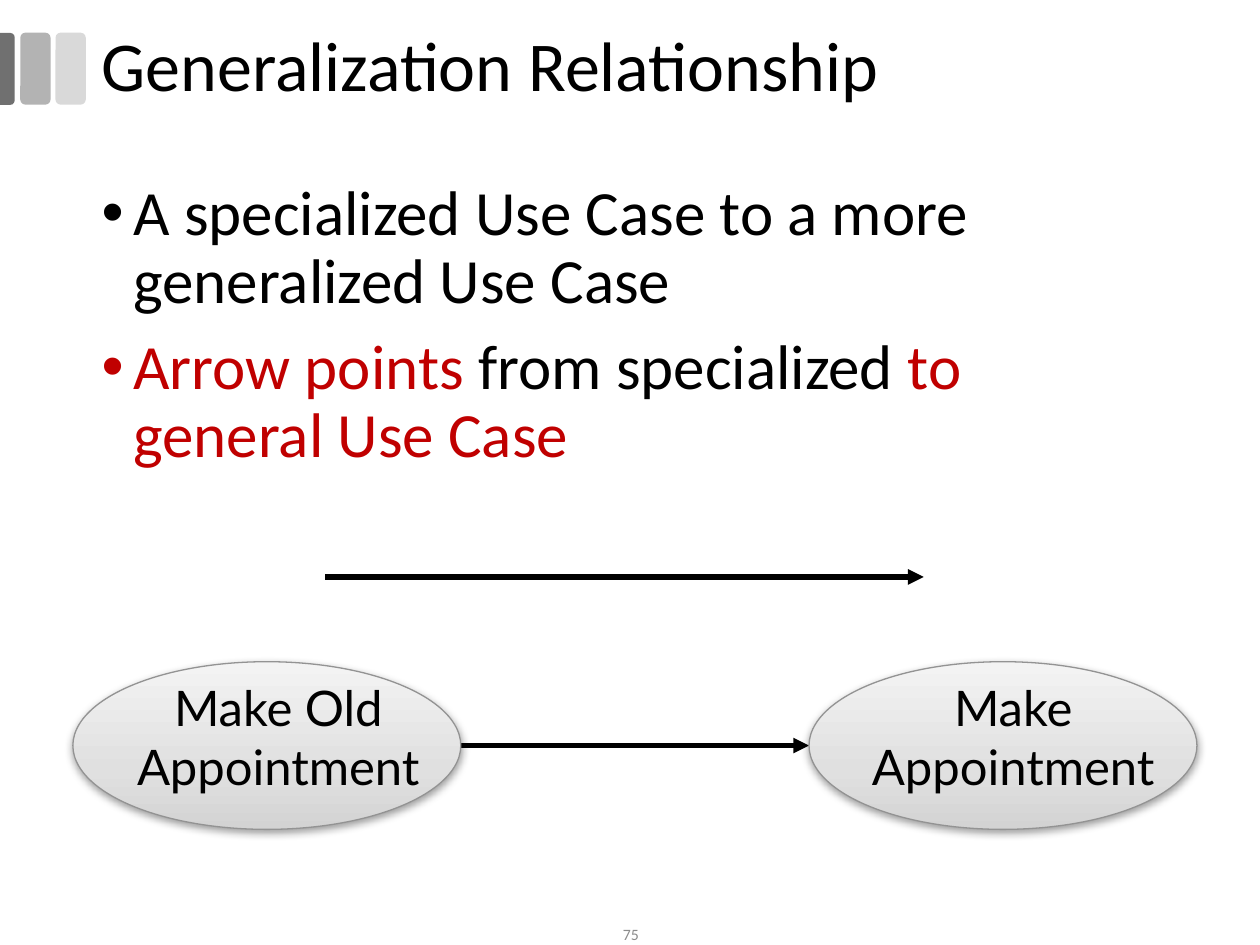
"""Build the slide on the generalization relationship between use cases."""
from dataclasses import dataclass

from lxml import etree
from pptx import Presentation
from pptx.dml.color import RGBColor
from pptx.enum import shapes, text
from pptx.oxml import parse_xml
from pptx.oxml.ns import nsdecls, qn
from pptx.util import Cm, Pt

COLORS = {
    "black": "000000", "red": "C00000", "number": "8C8C8C", "outline": "939393",
    "light": "D9D9D9", "mid": "B3B3B3", "dark": "707070",
}
GRADIENT = [(0, "D3D3D3"), (35, "E0E0E0"), (100, "F3F3F3")]
OVAL_TOP, OVAL_W, OVAL_H = 13.34, 7.82, 3.38
LEFT_OVAL, RIGHT_OVAL = 1.47, 16.31


@dataclass
class Bar:
    kind: shapes.MSO_SHAPE
    box: tuple[float, float, float, float]
    color: str
    rotation: float = 0


@dataclass
class UseCase:
    label: str
    left: float
    text_left: float
    text_width: float


@dataclass
class Arrow:
    tip: float
    end: float
    y: float


BARS = [
    Bar(shapes.MSO_SHAPE.ROUNDED_RECTANGLE, (1.12, 0.66, 0.61, 1.45), "light"),
    Bar(shapes.MSO_SHAPE.ROUNDED_RECTANGLE, (0.41, 0.66, 0.61, 1.45), "mid"),
    Bar(shapes.MSO_SHAPE.ROUND_2_SAME_RECTANGLE, (-0.58, 1.24, 1.45, 0.3), "dark", 90),
]
USE_CASES = [
    UseCase("Make\vAppointment", RIGHT_OVAL, 17.15, 6.55),
    UseCase("Make Old\vAppointment", LEFT_OVAL, 1.9, 7.42),
]
ARROWS = [
    Arrow(18.62, 6.55, 11.63),
    Arrow(RIGHT_OVAL, LEFT_OVAL + OVAL_W, OVAL_TOP + OVAL_H / 2),
]
BULLETS = [
    [("A specialized Use Case to a more generalized Use Case", "black")],
    [("Arrow points ", "red"), ("from specialized ", "black"),
     ("to general Use Case", "red")],
]


def rgb(name: str) -> RGBColor:
    return RGBColor.from_string(COLORS[name])


def style(font, size: float, color: str, face: str = "Calibri") -> None:
    font.name, font.size = face, Pt(size)
    font.color.rgb = rgb(color)


def add_bar(s, bar: Bar) -> None:
    sp = s.shapes.add_shape(bar.kind, *map(Cm, bar.box))
    sp.shadow.inherit = False
    sp.rotation = bar.rotation
    sp.fill.solid()
    sp.fill.fore_color.rgb = rgb(bar.color)
    sp.line.fill.background()
    if bar.rotation:
        sp.adjustments[0] = 0.29


def add_label(s, words: str, box: tuple, size: float, color: str, face: str):
    tf = s.shapes.add_textbox(*map(Cm, box)).text_frame
    tf.word_wrap = True
    tf.text = words
    p = tf.paragraphs[0]
    p.alignment = text.PP_ALIGN.CENTER
    for r in p.runs:
        style(r.font, size, color, face)
    return tf


def add_use_case(s, case: UseCase) -> None:
    sp = s.shapes.add_shape(shapes.MSO_SHAPE.OVAL, Cm(case.left), Cm(OVAL_TOP),
                            Cm(OVAL_W), Cm(OVAL_H))
    sp.line.color.rgb = rgb("outline")
    sp.line.width = Pt(0.75)
    stops = "".join(f'<a:gs pos="{pos * 1000}"><a:srgbClr val="{c}"/></a:gs>'
                    for pos, c in GRADIENT)
    pr = sp._element.spPr
    pr.find(qn("a:prstGeom")).addnext(parse_xml(
        f'<a:gradFill {nsdecls("a")} rotWithShape="1"><a:gsLst>{stops}</a:gsLst>'
        '<a:lin ang="16200000" scaled="0"/></a:gradFill>'))
    pr.append(parse_xml(
        f'<a:effectLst {nsdecls("a")}><a:outerShdw blurRad="{Pt(5)}" '
        f'dist="{Pt(1.6)}" dir="5400000" rotWithShape="0">'
        f'<a:srgbClr val="{COLORS["black"]}"><a:alpha val="38000"/></a:srgbClr>'
        '</a:outerShdw></a:effectLst>'))
    add_label(s, case.label, (case.text_left, 13.54, case.text_width, 2.64),
              28, "black", "Lato")


def add_arrow(s, arrow: Arrow) -> None:
    cx = s.shapes.add_connector(shapes.MSO_CONNECTOR.STRAIGHT, Cm(arrow.tip),
                                Cm(arrow.y), Cm(arrow.end), Cm(arrow.y))
    cx.line.color.rgb = rgb("black")
    cx.line.width = Pt(3)
    etree.SubElement(cx.line._get_or_add_ln(), qn("a:headEnd"), type="triangle")
    etree.SubElement(cx._element.spPr, qn("a:effectLst"))


def add_title(s, words: str) -> None:
    sp = s.shapes.title
    sp.left, sp.top, sp.width, sp.height = map(Cm, (1.8, 0.43, 23.83, 1.93))
    tf = sp.text_frame
    tf.text = words
    tf.auto_size = text.MSO_AUTO_SIZE.NONE
    tf.vertical_anchor = text.MSO_ANCHOR.MIDDLE
    p = tf.paragraphs[0]
    p.alignment = text.PP_ALIGN.LEFT
    p.line_spacing = 0.9
    style(p.runs[0].font, 40, "black")


def add_bullets(s) -> None:
    tf = s.shapes.add_textbox(*map(Cm, (1.8, 3.53, 21.69, 13.31))).text_frame
    tf.word_wrap = True
    for i, parts in enumerate(BULLETS):
        p = tf.add_paragraph() if i else tf.paragraphs[0]
        pr = p._p.get_or_add_pPr()
        pr.set("marL", str(Cm(0.64)))
        pr.set("indent", str(Cm(-0.64)))
        etree.SubElement(pr, qn("a:buFont"), typeface="Arial")
        etree.SubElement(pr, qn("a:buChar"), char="•")
        p.line_spacing = 0.9
        p.space_before = Pt(10 if i else 0)
        for words, color in parts:
            r = p.add_run()
            r.text = words
            style(r.font, 36, color)


def main() -> None:
    prs = Presentation()
    prs.slide_width, prs.slide_height = Cm(25.4), Cm(19.05)
    s = prs.slides.add_slide(prs.slide_layouts[5])
    for bar in BARS:
        add_bar(s, bar)
    add_title(s, "Generalization Relationship")
    add_bullets(s)
    for arrow in ARROWS:
        add_arrow(s, arrow)
    for case in USE_CASES:
        add_use_case(s, case)
    tf = add_label(s, "75", (9.86, 18.62, 5.72, 0.43), 9, "number", "Calibri")
    tf.vertical_anchor = text.MSO_ANCHOR.MIDDLE
    tf.margin_top = tf.margin_bottom = 0
    prs.save("out.pptx")


if __name__ == "__main__":
    main()
